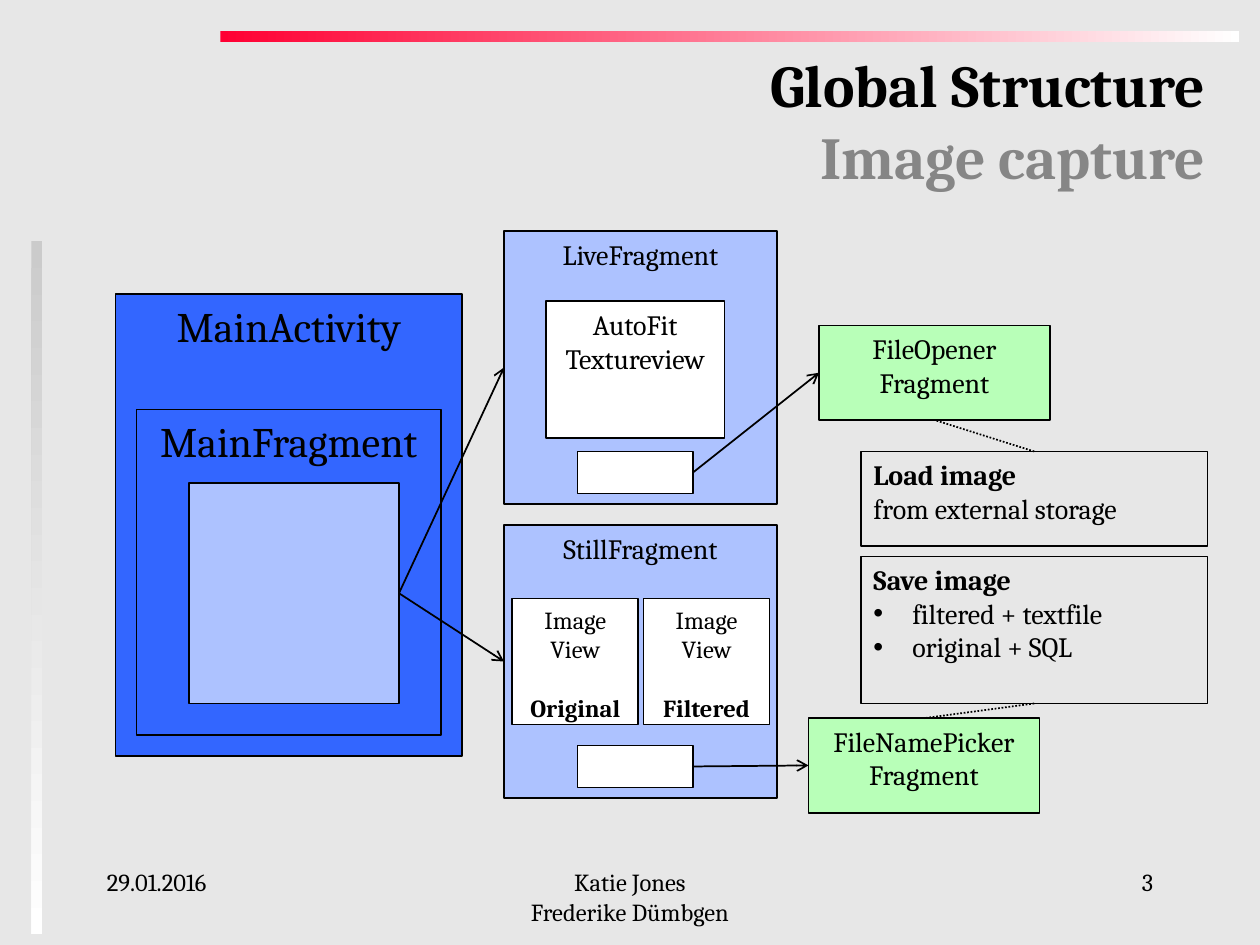
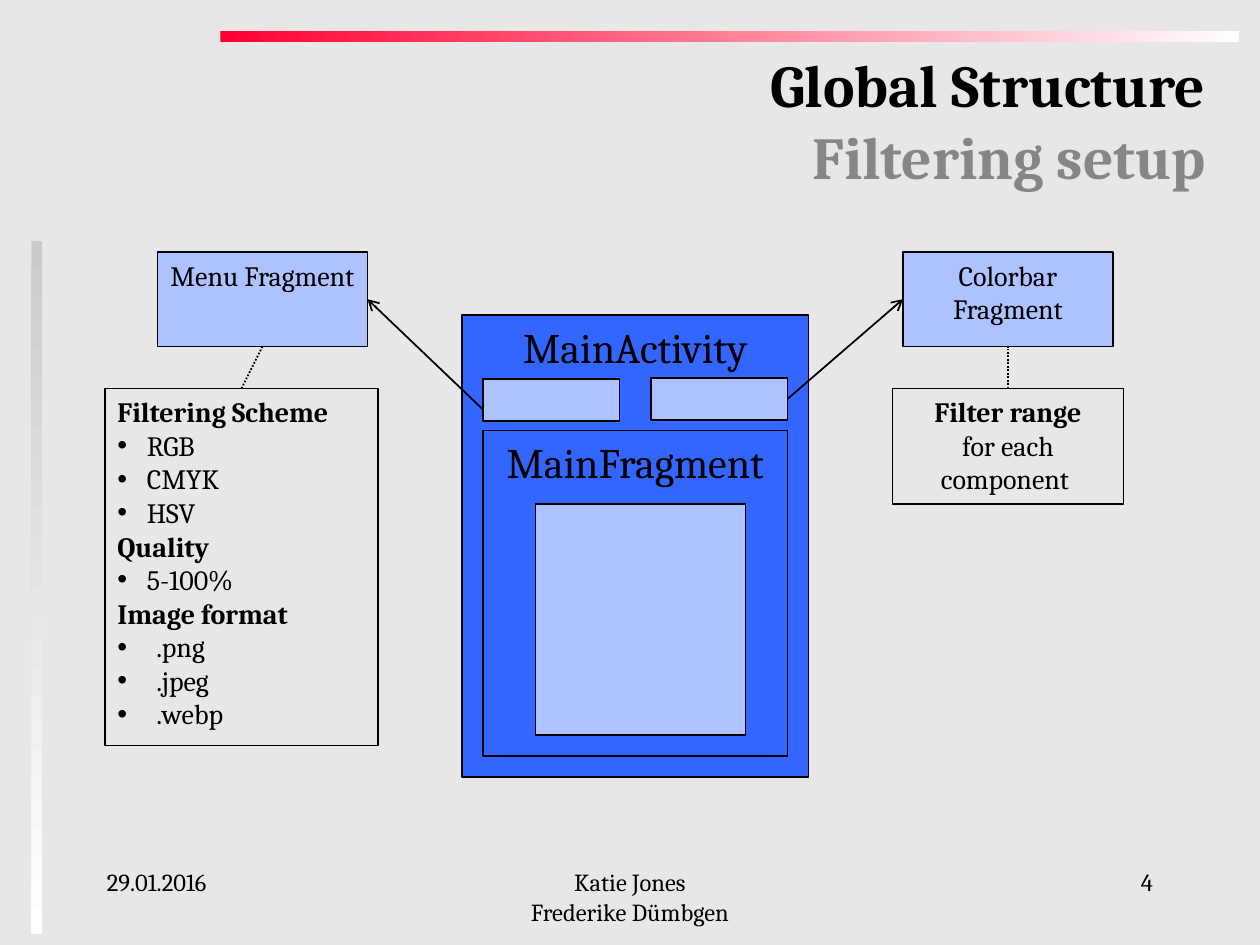
from dataclasses import dataclass

from lxml.etree import SubElement
from pptx import Presentation
from pptx.dml.color import RGBColor
from pptx.enum.dml import MSO_LINE
from pptx.enum.shapes import MSO_CONNECTOR, MSO_SHAPE
from pptx.enum.text import MSO_ANCHOR, PP_ALIGN
from pptx.oxml.ns import qn
from pptx.util import Pt

EMU_PER_PX = 7620  # 120 px to the inch
PAGE = (1200, 900)
TOP, LEFT, BOTTOM, RIGHT = range(4)  # connection sites of a rectangle


@dataclass(frozen=True)
class Theme:
    font: str = "Cambria"
    background: str = "E7E7E7"
    ink: str = "000000"
    subtitle: str = "868686"
    red: str = "FF0033"
    gray: str = "CBCBCB"
    white: str = "FFFFFF"
    activity: str = "3366FF"
    fragment: str = "ADC2FF"
    file_dialog: str = "B8FFB8"
    title_size: int = 34
    activity_size: int = 24
    box_size: int = 16
    small_size: int = 14


THEME = Theme()

# Left, top, width, height, first colour, counter-clockwise angle
BANDS = [
    (210, 30, 970, 10, THEME.red, 0),
    (30, 230, 10, 660, THEME.gray, 270),
]
TITLE = "Global Structure"
TITLE_BOX = (20, 40, 1140, 160)
DATE = "29.01.2016"
AUTHORS = "Katie Jones\vFrederike Dümbgen"
FOOTER_TOP, FOOTER_HEIGHT = 820, 60

# Bullet indents in px, gap before a caption in points
BULLET_INDENTS = {"bullet": 37, "tight bullet": 28}
CAPTION_GAP = 17


@dataclass(frozen=True)
class Box:
    name: str
    place: tuple
    fill: str = None
    lines: tuple = ()
    size: int = THEME.box_size
    align: PP_ALIGN = PP_ALIGN.CENTER


def main_activity(left, top, viewport_height):
    """The activity with its fragment and viewport, nested from outside in."""
    return [
        Box("activity", (left, top, 330, 440), THEME.activity,
            ("MainActivity",), THEME.activity_size),
        Box("main", (left + 20, top + 110, 290, 310), THEME.activity,
            ("MainFragment",), THEME.activity_size),
        Box("viewport", (left + 70, top + 180, 200, viewport_height), THEME.fragment),
    ]


def image_views(left, top, captions):
    side, gap = 120, 5
    return [
        Box(caption, (left + index * (side + gap), top, side, side), THEME.white,
            ("Image\vView", (caption, "caption")), THEME.small_size)
        for index, caption in enumerate(captions)
    ]


# A line is plain text or (text, style). An arrow or a dotted link joins
# (box, site) pairs; a start may also be a free point in px.
SLIDES = [
    {
        "number": 3,
        "subtitle": "Image capture",
        "boxes": [
            *main_activity(110, 280, 210),
            Box("live", (480, 220, 260, 260), THEME.fragment, ("LiveFragment",)),
            Box("texture", (520, 287, 170, 130), THEME.white, ("AutoFit\vTextureview",)),
            Box("live button", (550, 430, 110, 40), THEME.white),
            Box("still", (480, 500, 260, 260), THEME.fragment, ("StillFragment",)),
            *image_views(488, 570, ["Original", "Filtered"]),
            Box("still button", (550, 710, 110, 40), THEME.white),
            Box("opener", (780, 310, 220, 90), THEME.file_dialog, ("FileOpener\vFragment",)),
            Box("picker", (770, 684, 220, 90), THEME.file_dialog,
                ("FileNamePicker\vFragment",)),
            Box("load", (820, 430, 330, 90), align=PP_ALIGN.LEFT,
                lines=(("Load image", "heading"), "from external storage")),
            Box("save", (820, 530, 330, 140), align=PP_ALIGN.LEFT,
                lines=(("Save image", "heading"), ("filtered + textfile", "bullet"),
                       ("original + SQL", "bullet"))),
        ],
        "arrows": [
            (("viewport", RIGHT), ("live", LEFT)),
            (("viewport", RIGHT), ("still", LEFT)),
            (("live button", RIGHT), ("opener", LEFT)),
            (("still button", RIGHT), ("picker", LEFT)),
        ],
        "dotted": [
            (("load", TOP), ("opener", BOTTOM)),
            (("save", BOTTOM), ("picker", TOP)),
        ],
    },
    {
        "number": 4,
        "subtitle": "Filtering setup",
        "boxes": [
            *main_activity(440, 300, 220),
            Box("menu button", (460, 361, 130, 40), THEME.fragment),
            Box("colorbar button", (620, 360, 130, 40), THEME.fragment),
            Box("menu", (150, 240, 200, 90), THEME.fragment, ("Menu Fragment",)),
            Box("colorbar", (860, 240, 200, 90), THEME.fragment, ("Colorbar\vFragment",)),
            Box("scheme", (100, 370, 260, 340), align=PP_ALIGN.LEFT, lines=(
                ("Filtering Scheme", "heading"),
                ("RGB", "tight bullet"), ("CMYK", "tight bullet"), ("HSV", "tight bullet"),
                ("Quality", "heading"),
                ("5-100%", "tight bullet"),
                ("Image format", "heading"),
                (".png", "bullet"), (".jpeg", "bullet"), (".webp", "bullet"),
            )),
            Box("range", (850, 370, 220, 110),
                lines=(("Filter range", "heading"), "for each component ")),
        ],
        "arrows": [
            ((460, 390), ("menu", RIGHT)),
            (("colorbar button", RIGHT), ("colorbar", LEFT)),
        ],
        "dotted": [
            (("scheme", TOP), ("menu", BOTTOM)),
            (("range", TOP), ("colorbar", BOTTOM)),
        ],
    },
]


def px(*lengths):
    return [length * EMU_PER_PX for length in lengths]


def color(code):
    return RGBColor.from_string(code)


def format_paragraph(paragraph, size, align, bold=False):
    paragraph.alignment = align
    for run in paragraph.runs:
        run.font.name = THEME.font
        run.font.size = Pt(size)
        run.font.bold = bold
        run.font.color.rgb = color(THEME.ink)


def add_bullet(paragraph, indent):
    properties = paragraph._p.get_or_add_pPr()
    width = px(indent)[0]
    properties.set("marL", str(width))
    properties.set("indent", str(-width))
    SubElement(properties, qn("a:buFont"), typeface="Arial")
    SubElement(properties, qn("a:buChar"), char="•")


def add_label(slide, place, text, size, align, bold=False):
    text_frame = slide.shapes.add_textbox(*px(*place)).text_frame
    text_frame.word_wrap = True
    paragraph = text_frame.paragraphs[0]
    paragraph.text = text
    format_paragraph(paragraph, size, align, bold)
    return paragraph


def add_rectangle(slide, place):
    shape = slide.shapes.add_shape(MSO_SHAPE.RECTANGLE, *px(*place))
    shape.shadow.inherit = False
    return shape


def add_bands(slide):
    for *place, start, angle in BANDS:
        band = add_rectangle(slide, place)
        band.line.fill.background()
        band.fill.gradient()
        band.fill.gradient_angle = angle
        for stop, code, position in zip(band.fill.gradient_stops, (start, THEME.white), (0, 1)):
            stop.color.rgb = color(code)
            stop.position = position


def add_frame(slide, subtitle, number):
    """Everything the slides share: background, bands, title and footer."""
    slide.background.fill.solid()
    slide.background.fill.fore_color.rgb = color(THEME.background)
    add_bands(slide)
    title = add_label(slide, TITLE_BOX, f"{TITLE}\v{subtitle}",
                      THEME.title_size, PP_ALIGN.RIGHT, bold=True)
    title.runs[1].font.color.rgb = color(THEME.subtitle)
    for left, width, text, align in (
        (90, 250, DATE, PP_ALIGN.LEFT),
        (410, 380, AUTHORS, PP_ALIGN.CENTER),
        (860, 250, str(number), PP_ALIGN.RIGHT),
    ):
        add_label(slide, (left, FOOTER_TOP, width, FOOTER_HEIGHT), text,
                  THEME.small_size, align)


def add_box(slide, box):
    shape = add_rectangle(slide, box.place)
    shape.line.color.rgb = color(THEME.ink)
    shape.line.width = Pt(1)
    if box.fill:
        shape.fill.solid()
        shape.fill.fore_color.rgb = color(box.fill)
    else:
        shape.fill.background()
    text_frame = shape.text_frame
    text_frame.word_wrap = True
    text_frame.vertical_anchor = MSO_ANCHOR.TOP
    for index, line in enumerate(box.lines):
        text, style = (line, None) if isinstance(line, str) else line
        paragraph = text_frame.add_paragraph() if index else text_frame.paragraphs[0]
        paragraph.text = text
        format_paragraph(paragraph, box.size, box.align, style in ("heading", "caption"))
        if style == "caption":
            paragraph.space_before = Pt(CAPTION_GAP)
        if style in BULLET_INDENTS:
            add_bullet(paragraph, BULLET_INDENTS[style])
    return shape


def add_link(slide, shapes, start, end, dotted):
    connector = slide.shapes.add_connector(MSO_CONNECTOR.STRAIGHT, 0, 0, 0, 0)
    if start[0] in shapes:
        connector.begin_connect(shapes[start[0]], start[1])
    else:
        connector.begin_x, connector.begin_y = px(*start)
    connector.end_connect(shapes[end[0]], end[1])
    line = connector.line
    line.color.rgb = color(THEME.ink)
    line.width = Pt(1)
    if dotted:
        line.dash_style = MSO_LINE.ROUND_DOT
    else:
        SubElement(line._get_or_add_ln(), qn("a:tailEnd"), type="arrow")
    SubElement(connector._element.spPr, qn("a:effectLst"))


def main():
    presentation = Presentation()
    presentation.slide_width, presentation.slide_height = px(*PAGE)
    for content in SLIDES:
        slide = presentation.slides.add_slide(presentation.slide_layouts[6])
        add_frame(slide, content["subtitle"], content["number"])
        shapes = {box.name: add_box(slide, box) for box in content["boxes"]}
        for kind in ("arrows", "dotted"):
            for start, end in content[kind]:
                add_link(slide, shapes, start, end, kind == "dotted")
    presentation.save("out.pptx")


if __name__ == "__main__":
    main()
